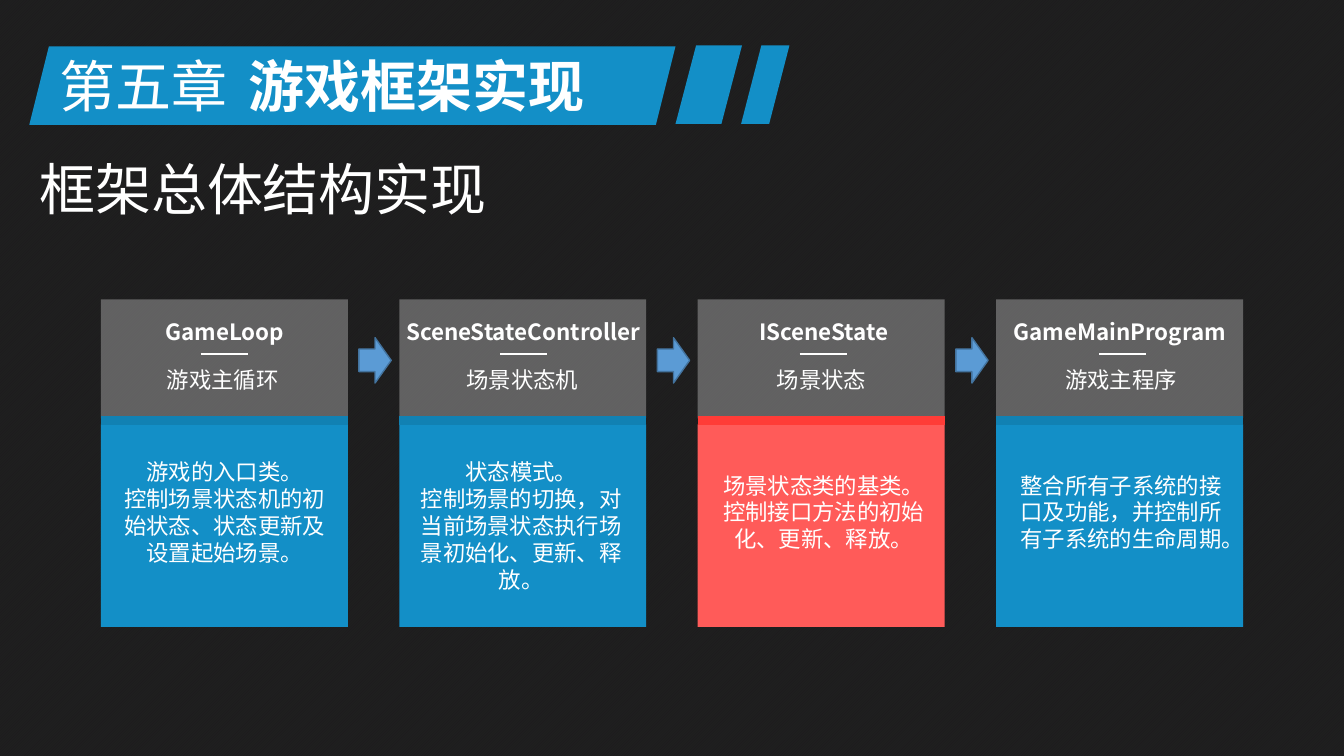
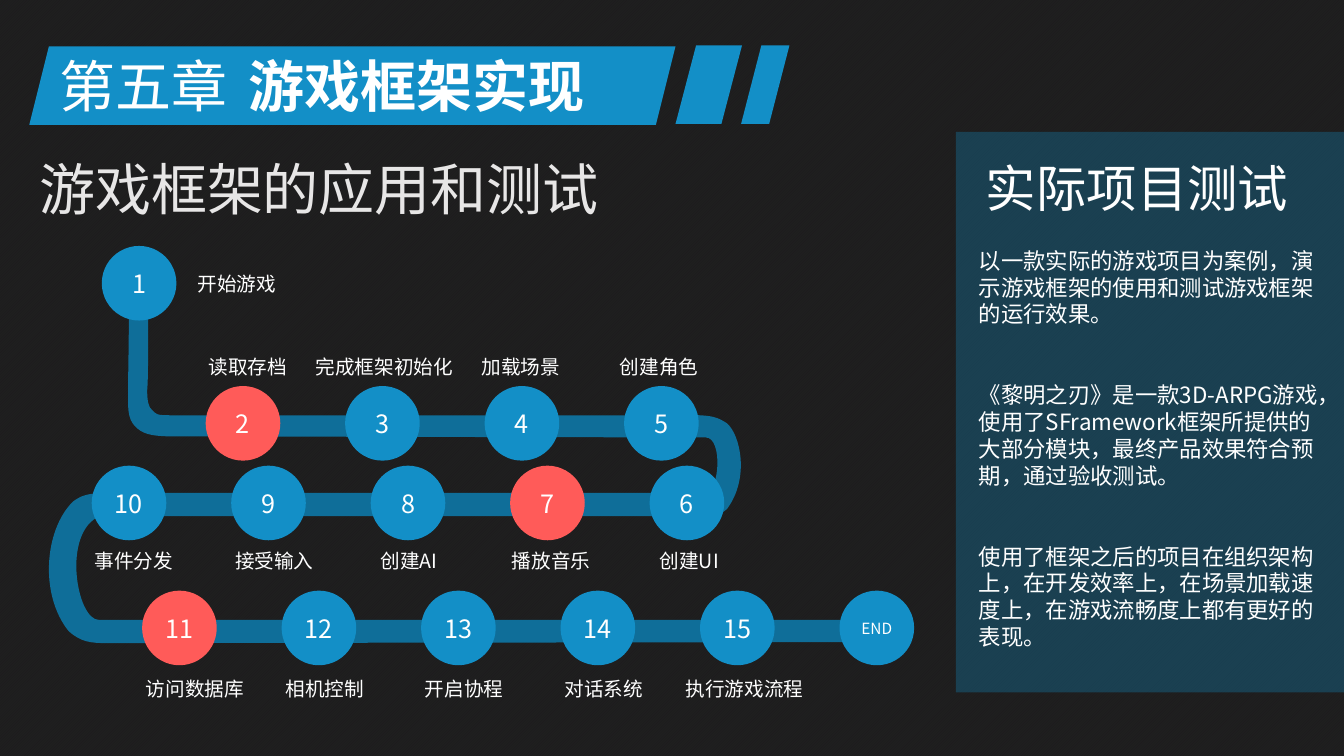
"""Builds two slides on a game framework: its overall structure and its test run."""
from dataclasses import dataclass

from lxml.etree import SubElement
from pptx import Presentation
from pptx.dml.color import RGBColor
from pptx.enum.dml import MSO_PATTERN
from pptx.enum.shapes import MSO_CONNECTOR, MSO_SHAPE
from pptx.enum.text import MSO_ANCHOR, PP_ALIGN
from pptx.oxml.ns import qn
from pptx.util import Inches, Pt

FONT = "Noto Sans CJK SC"
COLORS = {
    "white": "FFFFFF",
    "black": "000000",
    "pale": "E7E6E6",
    "hatch": "BFBFBF",
    "base": "DDDCE2",
    "blue": "138FC7",
    "blue_edge": "1181B3",
    "red": "FF5B59",
    "red_edge": "FF3C37",
    "track": "0F6E99",
    "arrow": "5B9BD5",
    "arrow_edge": "43739E",
}


@dataclass(frozen=True)
class Card:
    name: str
    name_left: float
    name_width: float
    role: str
    body: tuple[str, ...]
    body_left: float
    body_top: float
    body_height: float
    color: str = "blue"


@dataclass(frozen=True)
class Step:
    mark: str
    label: str = ""
    label_dx: float = -0.06
    color: str = "blue"
    size: int = 18


@dataclass(frozen=True)
class StepRow:
    left: float
    top: float
    label_dy: float
    steps: tuple[Step, ...]


CARDS = (
    Card("GameLoop", 1.15, 2.16, "游戏主循环",
         ("游戏的入口类。", "控制场景状态机的初始状态、状态更新及设置起始场景。"),
         1.05, 4.5, 1.18),
    Card("SceneStateController", 3.89, 2.6, "场景状态机",
         ("状态模式。", "控制场景的切换，对当前场景状态执行场景初始化、更新、释放。"),
         3.99, 4.5, 1.45),
    Card("ISceneState", 7.09, 2.16, "场景状态",
         ("场景状态类的基类。控制接口方法的初始化、更新、释放。",),
         6.99, 4.63, 0.91, "red"),
    Card("GameMainProgram", 9.88, 2.45, "游戏主程序",
         ("整合所有子系统的接口及功能，并控制所有子系统的生命周期。",),
         9.94, 4.63, 0.91),
)
CARD_LEFT, CARD_WIDTH, CARD_PITCH, HEAD_PITCH = 1.0, 2.45, 2.96, 2.97

STEP_SIZE, STEP_PITCH = 0.74, 4.15 / 3
STEP_ROWS = (
    StepRow(1.01, 2.44, 0.21, (Step("1", "开始游戏", 0.85),)),
    StepRow(2.04, 3.83, -0.36, (
        Step("2", "读取存档", -0.07, "red"),
        Step("3", "完成框架初始化", -0.39),
        Step("4", "加载场景", -0.13),
        Step("5", "创建角色", -0.14),
    )),
    StepRow(0.91, 4.62, 0.78, (
        Step("10", "事件分发", -0.07),
        Step("9", "接受输入"),
        Step("8", "创建AI", 0),
        Step("7", "播放音乐", -0.08, "red"),
        Step("6", "创建UI", 0),
    )),
    StepRow(1.41, 5.86, 0.81, (
        Step("11", "访问数据库", color="red"),
        Step("12", "相机控制"),
        Step("13", "开启协程"),
        Step("14", "对话系统"),
        Step("15", "执行游戏流程", -0.24),
        Step("END", size=11),
    )),
)
TRACK_BOX = (0.49, 2.74, 8.78, 6.38)
TRACK = (
    ("moveTo", 1.28, 2.74),
    ("lnTo", 1.47, 2.74),
    ("cubicBezTo", 1.47, 3.45, 1.47, 3.77, 1.46, 3.87),
    ("cubicBezTo", 1.46, 3.97, 1.47, 4.04, 1.51, 4.07),
    ("cubicBezTo", 1.55, 4.11, 1.55, 4.12, 1.69, 4.12),
    ("lnTo", 6.78, 4.12),
    ("cubicBezTo", 7.08, 4.11, 7.13, 4.15, 7.21, 4.2),
    ("cubicBezTo", 7.34, 4.31, 7.44, 4.74, 7.21, 5.05),
    ("cubicBezTo", 7.13, 5.13, 6.99, 5.12, 6.81, 5.12),
    ("lnTo", 0.99, 5.12),
    ("cubicBezTo", 0.61, 5.28, 0.76, 6.15, 0.98, 6.15),
    ("lnTo", 8.78, 6.15),
    ("lnTo", 8.78, 6.37),
    ("lnTo", 1.06, 6.38),
    ("cubicBezTo", 0.9, 6.38, 0.8, 6.37, 0.68, 6.26),
    ("cubicBezTo", 0.39, 5.9, 0.44, 5.26, 0.72, 4.98),
    ("cubicBezTo", 0.84, 4.88, 0.96, 4.9, 1.06, 4.89),
    ("lnTo", 6.99, 4.89),
    ("cubicBezTo", 7.14, 4.89, 7.17, 4.34, 7, 4.34),
    ("lnTo", 1.73, 4.33),
    ("cubicBezTo", 1.48, 4.33, 1.41, 4.3, 1.34, 4.23),
    ("cubicBezTo", 1.26, 4.15, 1.27, 4.03, 1.27, 3.87),
    ("cubicBezTo", 1.27, 3.71, 1.28, 3.38, 1.28, 2.74),
    ("close",),
)
PANEL_TEXT = (
    "以一款实际的游戏项目为案例，演示游戏框架的使用和测试游戏框架的运行效果。",
    "《黎明之刃》是一款3D-ARPG游戏，使用了SFramework框架所提供的大部分模块，最终产品效果符合预期，通过验收测试。",
    "使用了框架之后的项目在组织架构上，在开发效率上，在场景加载速度上，在游戏流畅度上都有更好的表现。",
)


def rgb(name: str) -> RGBColor:
    return RGBColor.from_string(COLORS[name])


def paint(sp, color: str, alpha: int = 100) -> None:
    sp.shadow.inherit = False
    sp.line.fill.background()
    sp.fill.solid()
    sp.fill.fore_color.rgb = rgb(color)
    if alpha < 100:
        clr = sp._element.spPr.find(qn("a:solidFill")).find(qn("a:srgbClr"))
        SubElement(clr, qn("a:alpha")).set("val", str(alpha * 1000))


def add_box(s, kind, left: float, top: float, width: float, height: float,
            color: str, alpha: int = 100):
    sp = s.shapes.add_shape(kind, Inches(left), Inches(top), Inches(width), Inches(height))
    paint(sp, color, alpha)
    return sp


def add_run(p, text: str, size: int, color: str = "white", bold: bool = False) -> None:
    r = p.add_run()
    r.text = text
    r.font.size = Pt(size)
    r.font.bold = bold
    r.font.name = FONT
    r.font.color.rgb = rgb(color)
    SubElement(r.font._element, qn("a:ea")).set("typeface", FONT)


def add_text(s, left: float, top: float, width: float, height: float,
             paragraphs: tuple[str, ...], size: int, color: str = "white",
             bold: bool = False, align=PP_ALIGN.LEFT, gap: float = 0) -> None:
    tf = s.shapes.add_textbox(Inches(left), Inches(top), Inches(width), Inches(height)).text_frame
    tf.word_wrap = True
    for i, text in enumerate(paragraphs):
        p = tf.add_paragraph() if i else tf.paragraphs[0]
        p.alignment = align
        if i and gap:
            p.space_before = Pt(gap)
        add_run(p, text, size, color, bold)


def add_line_of_text(s, left: float, top: float, text: str, size: int,
                     color: str = "white", bold: bool = False) -> None:
    width = 0.22 + len(text) * size / 72
    add_text(s, left, top, width, 0.1 + size / 60, (text,), size, color, bold)


def add_rule(s, left: float, width: float, y: float, color: str, weight: float) -> None:
    line = s.shapes.add_connector(MSO_CONNECTOR.STRAIGHT, Inches(left), Inches(y),
                                  Inches(left + width), Inches(y))
    line.line.color.rgb = rgb(color)
    line.line.width = Pt(weight)
    SubElement(line._element.spPr, qn("a:effectLst"))


def add_base_slide(prs, heading: str, heading_color: str):
    s = prs.slides.add_slide(prs.slide_layouts[6])
    for left, top, width, slant in ((0.29, 0.46, 6.41, 0.25), (6.7, 0.45, 0.66, 0.31),
                                    (7.35, 0.45, 0.48, 0.42)):
        bar = add_box(s, MSO_SHAPE.PARALLELOGRAM, left, top, width, 0.78, "blue")
        bar.adjustments[0] = slant
    add_line_of_text(s, 0.49, 0.46, "第五章", 40)
    add_line_of_text(s, 2.37, 0.46, "游戏框架实现", 40, bold=True)
    add_line_of_text(s, 0.29, 1.48, heading, 40, heading_color)
    return s


def add_card(s, card: Card, i: int) -> None:
    left, head_shift = CARD_LEFT + i * CARD_PITCH, i * HEAD_PITCH
    add_box(s, MSO_SHAPE.RECTANGLE, left, 2.97, CARD_WIDTH, 1.18, "white", 30)
    add_box(s, MSO_SHAPE.RECTANGLE, left, 4.21, CARD_WIDTH, 2.01, card.color)
    add_rule(s, left, CARD_WIDTH, 4.17, f"{card.color}_edge", 6)
    add_rule(s, 1.99 + head_shift, 0.47, 3.51, "white", 1.5)
    for x, y, width, height, paragraphs, bold in (
            (card.name_left, 3.11, card.name_width, 0.37, (card.name,), True),
            (1.04 + head_shift, 3.58, 2.34, 0.37, (card.role,), False),
            (card.body_left, card.body_top, 2.36, card.body_height, card.body, False)):
        add_text(s, x, y, width, height, paragraphs, 16, bold=bold, align=PP_ALIGN.CENTER)


def build_structure(prs) -> None:
    s = add_base_slide(prs, "框架总体结构实现", "white")
    for i, card in enumerate(CARDS):
        add_card(s, card, i)
        if i < len(CARDS) - 1:
            arrow = add_box(s, MSO_SHAPE.RIGHT_ARROW, 3.56 + i * CARD_PITCH, 3.35,
                            0.32, 0.45, "arrow")
            arrow.line.color.rgb = rgb("arrow_edge")
            arrow.line.width = Pt(1)


def add_track(s) -> None:
    left, top, right, bottom = (Inches(v) for v in TRACK_BOX)
    builder = s.shapes.build_freeform(left, top)
    builder.add_line_segments([(right, top), (right, bottom), (left, bottom)])
    sp = builder.convert_to_shape()
    paint(sp, "track")
    outline = next(sp._element.iter(qn("a:path")))
    for child in list(outline):
        outline.remove(child)
    for command, *values in TRACK:
        segment = SubElement(outline, qn(f"a:{command}"))
        for x, y in zip(values[::2], values[1::2]):
            pt = SubElement(segment, qn("a:pt"))
            pt.set("x", str(Inches(x) - left))
            pt.set("y", str(Inches(y) - top))


def add_step(s, step: Step, left: float, top: float, label_dy: float) -> None:
    sp = add_box(s, MSO_SHAPE.OVAL, left, top, STEP_SIZE, STEP_SIZE, step.color)
    tf = sp.text_frame
    tf.margin_left = tf.margin_right = 0
    tf.vertical_anchor = MSO_ANCHOR.MIDDLE
    p = tf.paragraphs[0]
    p.alignment = PP_ALIGN.CENTER
    add_run(p, step.mark, step.size)
    if step.label:
        add_line_of_text(s, left + step.label_dx, top + label_dy, step.label, 14)


def build_test(prs) -> None:
    s = add_base_slide(prs, "游戏框架的应用和测试", "pale")
    add_track(s)
    for row in STEP_ROWS:
        for i, step in enumerate(row.steps):
            add_step(s, step, row.left + i * STEP_PITCH, row.top, row.label_dy)
    panel = add_box(s, MSO_SHAPE.PARALLELOGRAM, 9.48, 1.31, 3.85, 5.56, "blue", 30)
    panel.adjustments[0] = 0
    add_text(s, 9.61, 2.4, 3.56, 4.14, PANEL_TEXT, 16, gap=38.5)
    add_line_of_text(s, 9.68, 1.51, "实际项目测试", 36)


def style_master(prs) -> None:
    master = prs.slide_master
    fill = master.background.fill
    fill.patterned()
    fill.pattern = MSO_PATTERN.LIGHT_UPWARD_DIAGONAL
    fill.fore_color.rgb = rgb("hatch")
    fill.back_color.rgb = rgb("base")
    veil = add_box(prs.slides[0], MSO_SHAPE.RECTANGLE, 0, 0, 13.34, 7.5, "black", 86)
    master.shapes._spTree.insert(2, veil._element)


def main() -> None:
    prs = Presentation()
    prs.slide_width, prs.slide_height = Inches(13.33), Inches(7.5)
    build_structure(prs)
    build_test(prs)
    style_master(prs)
    prs.save("out.pptx")


if __name__ == "__main__":
    main()
